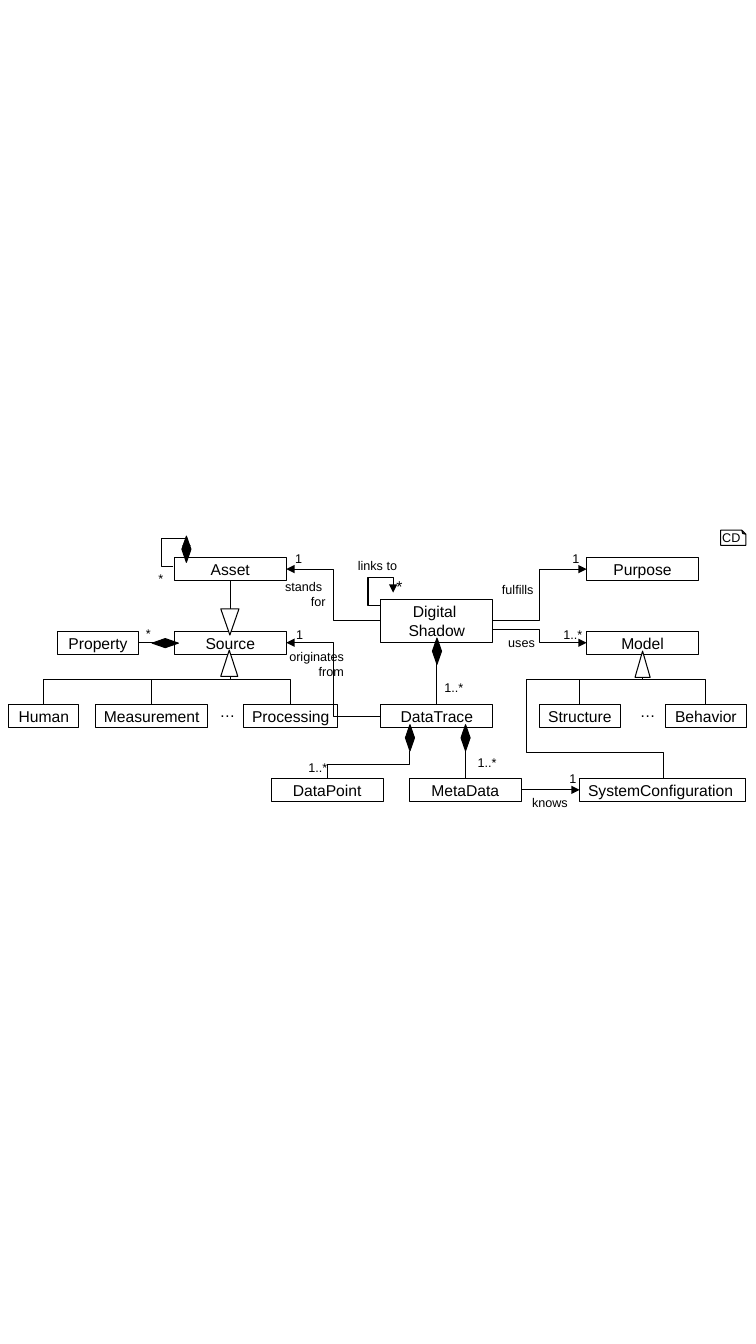
from pptx import Presentation
from pptx.util import Pt
from pptx.dml.color import RGBColor
from pptx.enum.shapes import MSO_SHAPE as Form, MSO_CONNECTOR as Link
from pptx.enum.text import MSO_ANCHOR as Anchor, MSO_AUTO_SIZE as Fit, PP_ALIGN as Align
from pptx.oxml.ns import qn
from lxml.etree import SubElement
from dataclasses import dataclass


@dataclass
class Theme:
    ink = RGBColor(0, 0, 0)
    paper = RGBColor(255, 255, 255)
    font = "Arial"
    name = 11.2
    note = 9
    thin = 0.75
    bold = 0.85
    inset = 1.44


TOP, STEP, HIGH, WIDE, MID = 398.2, 52.55, 16.7, 80, 58.1

BOXES = [
    ("Asset", 124.5, 0, WIDE), ("Purpose", 419, 0, WIDE),
    ("Property", 41, 1, MID), ("Source", 124.5, 1, WIDE), ("Model", 419, 1, WIDE),
    ("Human", 6.4, 2, 49.8), ("Measurement", 68.4, 2, WIDE),
    ("Processing", 174.2, 2, 67), ("DataTrace", 272, 2, WIDE),
    ("Structure", 385.2, 2, MID), ("Behavior", 475.2, 2, MID),
    ("DataPoint", 193.7, 3, WIDE), ("MetaData", 292.4, 3, WIDE),
    ("SystemConfiguration ", 414, 3, 118.8),
]
SHADOW = ("Digital \vShadow", 272, 428.4, WIDE, 30.3)

TREES = [("Source", ("Processing", "Human", "Measurement")), ("Model", ("Structure", "Behavior"))]
DROPS = [(("DataTrace", 0.26, 2), ("DataPoint", 0.5, 0))]
DROPS += [((root, 0.5, 1), (kid, 0.5, 0)) for root, kids in TREES for kid in kids]
BENDS = [
    (("DataTrace", 0, 0.5), ("Source", 1, 0.5)),
    ((SHADOW[0], 0, 0.5), ("Asset", 1, 0.5)),
    ((SHADOW[0], 1, 0.5), ("Purpose", 0, 0.5)),
    ((SHADOW[0], 1, 0.69), ("Model", 0, 0.5)),
]
LINES = [
    ((SHADOW[0], 0.5, 1), ("DataTrace", 0.5, 0), Theme.thin, False),
    (("DataTrace", 0.755, 2), ("MetaData", 0.5, 0), Theme.thin, False),
    (("Source", 0, 0.5), ("Property", 1, 0.5), Theme.thin, False),
    (("Asset", 0.5, 1), ("Source", 0.5, 0), Theme.bold, False),
    (("MetaData", 1, 0.5), ("SystemConfiguration ", 0, 0.5), Theme.bold, True),
]
LOOPS = [(262.8, 412.6), (115.2, 384.5)]
LOOP = [(8.6, 20), (0, 20), (0, 0), (18, 0), (18, 10.8)]
ROUTE = [(414, 485.3), (375.8, 485.3), (375.8, 537.8), (473.8, 537.8), (473.8, 555.8)]

GEMS = [(329.3, 517.7, 0), (289.6, 517.7, 0), (308.9, 455.8, 0), (129.9, 383, 0), (114.8, 450, 270)]
TIPS = [(157.7, 464.4, 12.2, 0), (453.6, 465.1, 10.8, 0), (157.7, 434.9, 13, 180)]

LEFT, MIDDLE, RIGHT = Align.LEFT, Align.CENTER, Align.RIGHT
FREE = [
    ("…", 149.8, 497.5, 25.9, Theme.name), ("…", 450, 497.5, 25.9, Theme.name),
    ("1", 204.5, 444.2, 19.4, Theme.note), ("1", 203.8, 390.2, 19.4, Theme.note),
    ("1", 401.8, 390.2, 19.4, Theme.note), ("1", 399.6, 547.2, 19.4, Theme.note),
    ("1..*", 334.1, 535.7, 28.1, Theme.note), ("1..*", 213.1, 539.3, 28.1, Theme.note),
    ("1..*", 310.3, 482.4, 28.1, Theme.note), ("1..*", 395.3, 444.2, 28.1, Theme.note),
]
WRAPPED = [
    ("*", 280.8, 408.2, 9.4, Theme.name, LEFT), ("*", 97.2, 443.5, 18.7, Theme.note, LEFT),
    ("*", 110.9, 403.9, 9.4, Theme.note, LEFT),
    ("originates from", 187.2, 460.1, 65.5, Theme.note, RIGHT),
    ("stands \vfor", 174.2, 409.7, 65.5, Theme.note, RIGHT),
    ("fulfills", 322.6, 411.8, 65.5, Theme.note, RIGHT),
    ("uses", 339.8, 450, 65.5, Theme.note, MIDDLE),
    ("knows", 360, 564.5, 65.5, Theme.note, MIDDLE),
    ("links to", 246.2, 395.3, 46.8, Theme.note, MIDDLE),
]

deck = Presentation()
deck.slide_width, deck.slide_height = Pt(540), Pt(960)
shapes = deck.slides.add_slide(deck.slide_layouts[6]).shapes


def write(shape, text, size, align):
    frame = shape.text_frame
    para = frame.paragraphs[0]
    para.text = text
    para.alignment = align
    para.font.name, para.font.size = Theme.font, Pt(size)
    para.font.color.rgb = Theme.ink
    return frame


def stroke(item, weight, arrow=False):
    item.line.color.rgb = Theme.ink
    item.line.width = Pt(weight)
    if arrow:
        SubElement(item.line._get_or_add_ln(), qn("a:tailEnd"), type="triangle")


def draw(form, x, y, w, h, fill=Theme.paper, turn=0):
    shape = shapes.add_shape(form, Pt(x), Pt(y), Pt(w), Pt(h))
    shape.shadow.inherit = False
    shape.fill.solid()
    shape.fill.fore_color.rgb = fill
    shape.rotation = turn
    stroke(shape, Theme.thin)
    return shape


def pad(frame, inset):
    frame.margin_left = frame.margin_right = frame.margin_top = frame.margin_bottom = Pt(inset)
    frame.vertical_anchor = Anchor.MIDDLE
    frame.word_wrap = True


def join(kind, x1, y1, x2, y2, weight=Theme.thin, arrow=False):
    link = shapes.add_connector(kind, Pt(x1), Pt(y1), Pt(x2), Pt(y2))
    stroke(link, weight, arrow)
    SubElement(link._element.spPr, qn("a:effectLst"))
    return link


def drop(x1, y1, x2, y2):
    run, fall = abs(x2 - x1), y2 - y1
    x, y = (x1 + x2 - fall) / 2, (y1 + y2 - run) / 2
    link = join(Link.ELBOW, x, y, x + fall, y + run)
    frame = link._element.spPr.find(qn("a:xfrm"))
    frame.set("rot", str((270 if x2 > x1 else 90) * 60000))
    if x2 > x1:
        frame.set("flipH", "1")


def trace(spots, weight, arrow=False):
    (x, y), *rest = [(Pt(a), Pt(b)) for a, b in spots]
    pen = shapes.build_freeform(x, y)
    pen.add_line_segments(rest, close=False)
    shape = pen.convert_to_shape()
    shape.shadow.inherit = False
    shape.fill.background()
    stroke(shape, weight, arrow)


def label(text, x, y, w, size, align=LEFT, wrap=False):
    lines = 2 if text in ("originates from", "stands \vfor") else 1
    tall = 7.2 + size * 1.2 * lines
    frame = write(shapes.add_textbox(Pt(x), Pt(y), Pt(w), Pt(tall)), text, size, align)
    frame.word_wrap = wrap
    frame.auto_size = Fit.SHAPE_TO_FIT_TEXT


area = {name: (x, TOP + row * STEP, w, HIGH) for name, x, row, w in BOXES}
area[SHADOW[0]] = SHADOW[1:]


def port(name, across, down):
    x, y, w, h = area[name]
    return x + across * w, y + down * h


for name, place in area.items():
    pad(write(draw(Form.RECTANGLE, *place), name, Theme.name, MIDDLE), Theme.inset)
for start, end in DROPS:
    drop(*port(*start), *port(*end))
for start, end in BENDS:
    join(Link.ELBOW, *port(*start), *port(*end), arrow=True)
for start, end, weight, arrow in LINES:
    join(Link.STRAIGHT, *port(*start), *port(*end), weight, arrow)
for x, y in LOOPS:
    trace([(x + a, y + b) for a, b in LOOP], Theme.bold, True)
trace(ROUTE, Theme.thin)
for x, y, turn in GEMS:
    draw(Form.DIAMOND, x, y, 6.5, 18.7, Theme.ink, turn)
for x, y, w, turn in TIPS:
    draw(Form.ISOSCELES_TRIANGLE, x, y, w, 18.7, turn=turn)
for row in FREE:
    label(*row)
for row in WRAPPED:
    label(*row, wrap=True)

badge = draw(Form.FOLDED_CORNER, 518.4, 375.1, 10.8, 18, turn=270)
guides = badge._element.spPr.find(qn("a:prstGeom")).find(qn("a:avLst"))
SubElement(guides, qn("a:gd"), name="adj", fmla="val 27000")
frame = write(badge, "CD", Theme.note, MIDDLE)
pad(frame, 0)
frame._txBody.bodyPr.set("vert", "vert")

deck.save("out.pptx")
